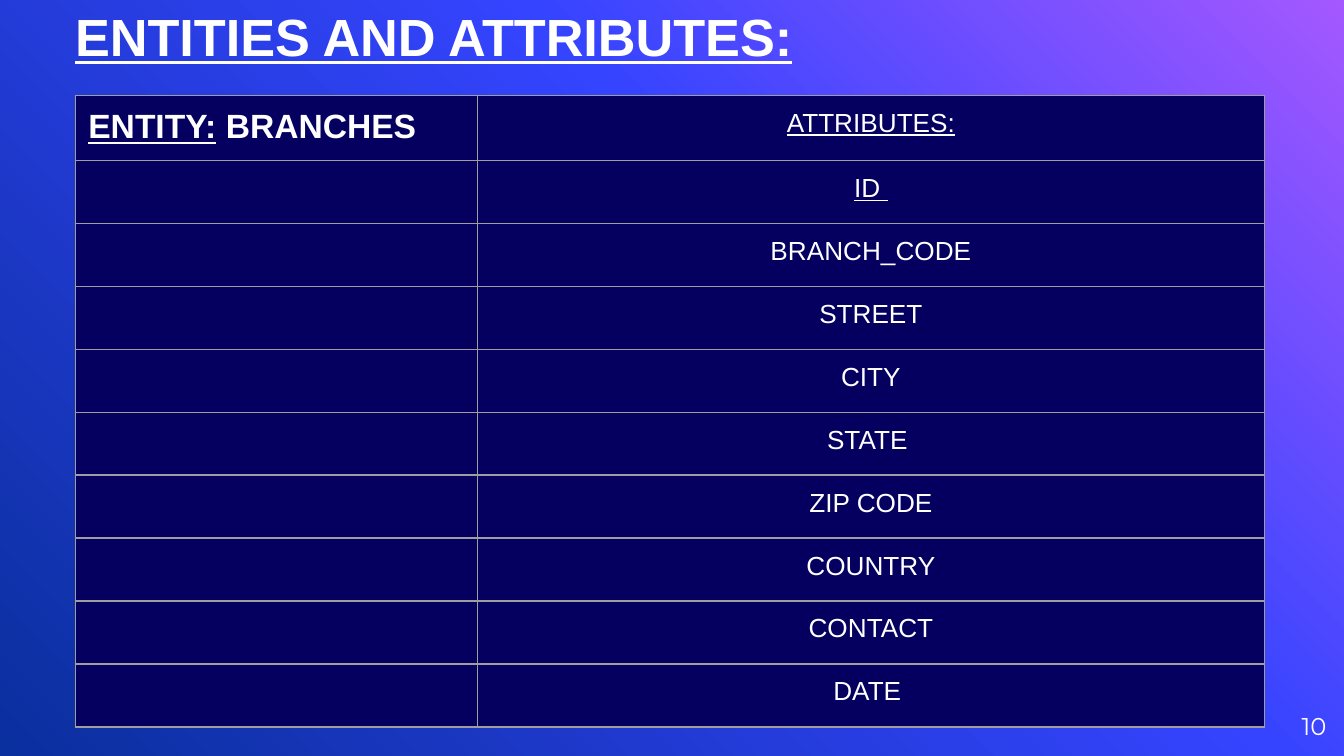
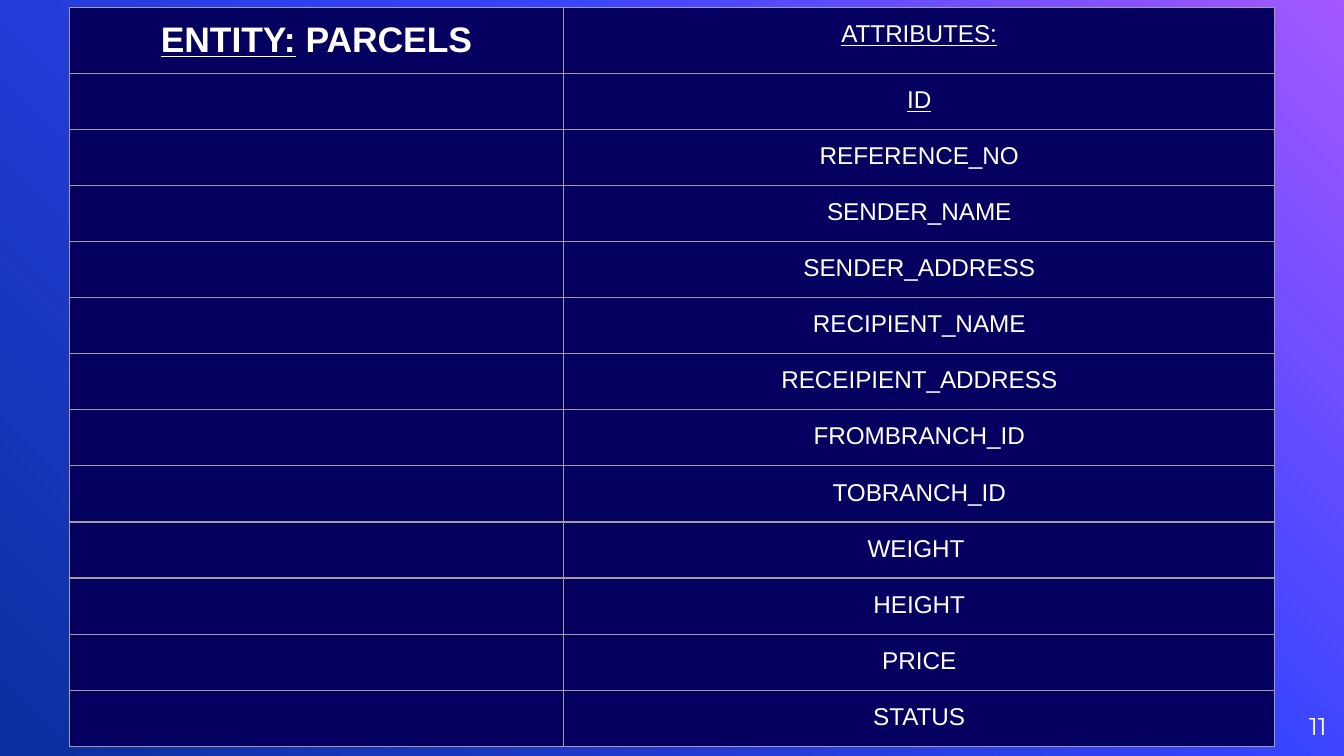
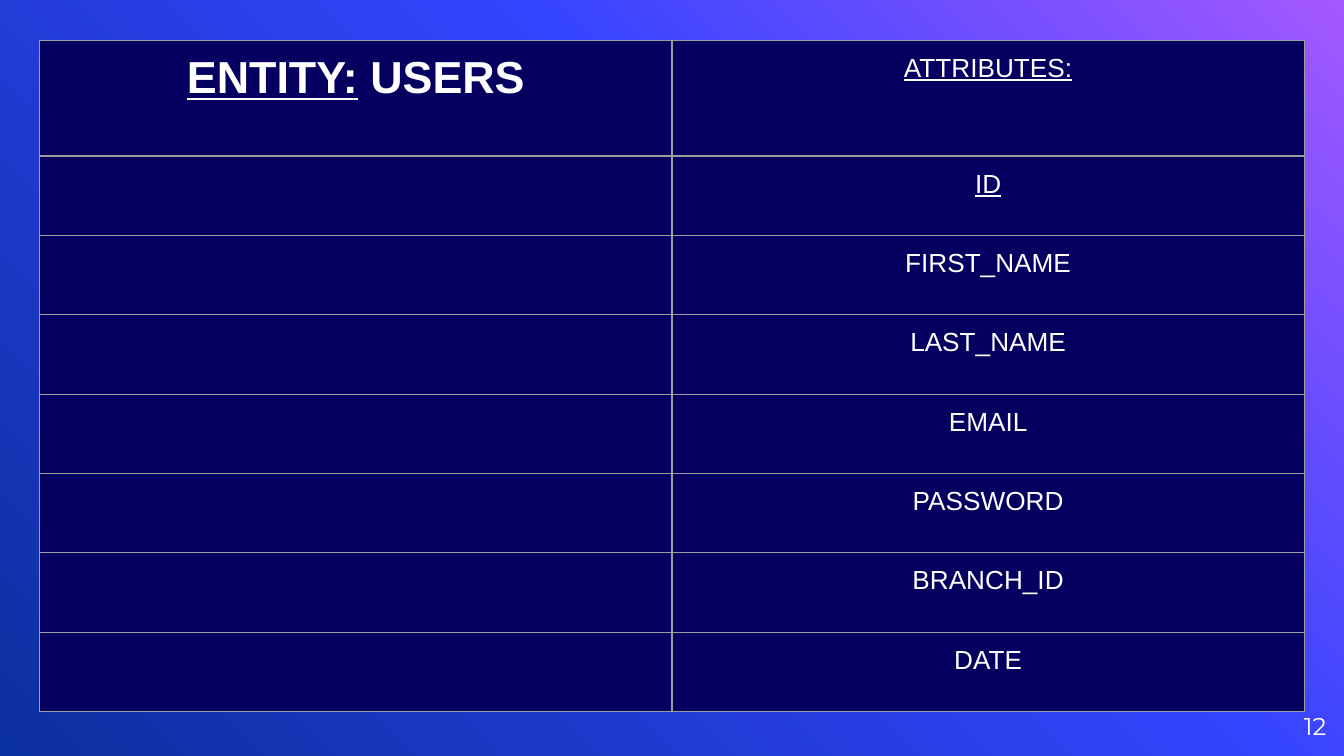
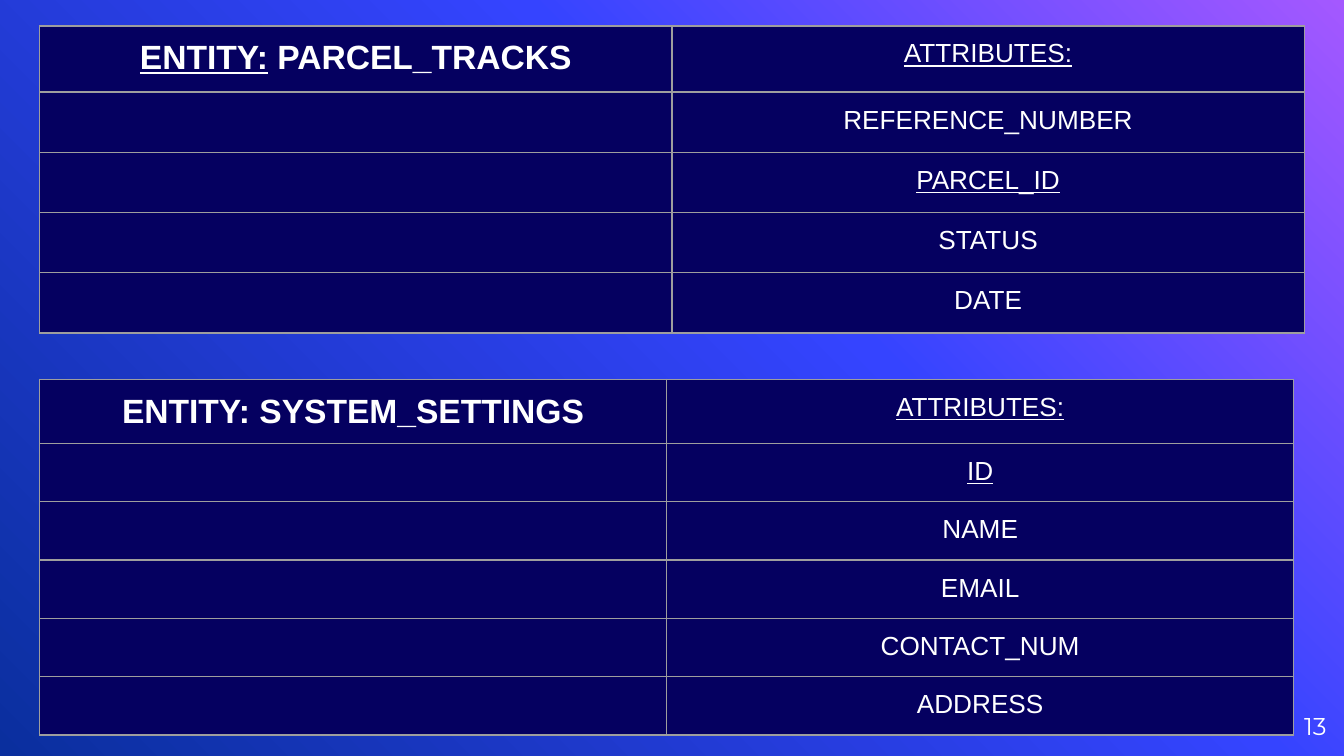
from copy import deepcopy

from pptx import Presentation
from pptx.dml.color import RGBColor
from pptx.enum.text import MSO_ANCHOR as Anchor, MSO_AUTO_SIZE as AutoSize, PP_ALIGN as Align
from pptx.oxml.ns import qn
from pptx.util import Cm, Pt
from lxml.etree import SubElement

COLORS = {
    "text": "FFFFFF",
    "cell": "050060",
    "border": "9E9E9E",
    "violet": "A458FF",
    "blue": "3544FF",
    "navy": "0A2F9E",
}
BACKDROP = [(0, "violet"), (0.39, "blue"), (1, "navy")]
BODY_FONT, NUMBER_FONT = "Arial", "Montserrat"
TITLE_ONLY, BLANK = 5, 6
FIRST_NUMBER = 10
CELL_MARGIN = 0.25
NUMBER_BOX = (23.55, 13.18, 1.52, 1.09)
TITLE_BOX = (1.42, -0.61, 16.71, 1.88)

# Each box is left, top; names in "keys" are underlined.
SLIDES = [
    {
        "title": "ENTITIES AND ATTRIBUTES:",
        "tables": [dict(
            entity="BRANCHES", box=(1.42, 1.8), columns=(7.6, 14.88), rows=(1.23, 1.19),
            header_align=Align.LEFT, keys=["ID "],
            attributes=["ID ", "BRANCH_CODE", "STREET", "CITY", "STATE ", "ZIP CODE",
                        "COUNTRY", "CONTACT", "DATE "])],
    },
    {
        "tables": [dict(
            entity="PARCELS", box=(1.31, 0.14), columns=(9.34, 13.44), rows=(1.22, 1),
            header_size=19, size=13, keys=["ID"],
            attributes=["ID", "REFERENCE_NO", "SENDER_NAME", "SENDER_ADDRESS",
                        "RECIPIENT_NAME", "RECEIPIENT_ADDRESS", "FROMBRANCH_ID",
                        "TOBRANCH_ID", "WEIGHT ", "HEIGHT", "PRICE", "STATUS"])],
    },
    {
        "tables": [dict(
            entity="USERS", box=(0.75, 0.76), columns=(11.95, 11.95), rows=(2.19, 1.5),
            header_size=24, keys=["ID"],
            attributes=["ID", "FIRST_NAME", "LAST_NAME", "EMAIL", "PASSWORD",
                        "BRANCH_ID", "DATE"])],
    },
    {
        "tables": [
            dict(
                entity="PARCEL_TRACKS", box=(0.75, 0.49), columns=(11.95, 11.95),
                rows=(1.25, 1.14), keys=["PARCEL_ID"],
                attributes=["REFERENCE_NUMBER", "PARCEL_ID", "STATUS", "DATE"]),
            dict(
                entity="SYSTEM_SETTINGS", box=(0.75, 7.17), columns=(11.85, 11.85),
                rows=(1.06, 1.06), underline_label=False, keys=["ID"],
                attributes=["ID", "NAME", "EMAIL", "CONTACT_NUM", "ADDRESS"]),
        ],
    },
]


def color(name):
    return RGBColor.from_string(COLORS[name])


def write(frame, *parts, size, font=BODY_FONT, bold=False, align=Align.CENTER):
    """Fill a text frame with one paragraph of (text, underlined) parts."""
    paragraph = frame.paragraphs[0]
    paragraph.alignment = align
    for text, underlined in parts:
        run = paragraph.add_run()
        run.text = text
        run.font.name = font
        run.font.size = Pt(size)
        run.font.bold = bold
        run.font.underline = underlined
        run.font.color.rgb = color("text")
    if not parts:
        # The end mark keeps an empty line from stretching its row.
        SubElement(paragraph._p, qn("a:endParaRPr"), sz=str(size * 100))


def clear_margins(frame, anchor):
    frame.margin_left = frame.margin_right = frame.margin_top = frame.margin_bottom = 0
    frame.vertical_anchor = anchor
    frame.word_wrap = True
    frame.auto_size = AutoSize.NONE


def paint_backdrop(master):
    fill = master.background.fill
    fill.gradient()
    fill.gradient_angle = 225
    stop_list = master.element.find(".//" + qn("p:bg")).find(".//" + qn("a:gsLst"))
    stop_list.insert(1, deepcopy(stop_list[0]))
    for stop, (position, name) in zip(fill.gradient_stops, BACKDROP):
        stop.position = position
        stop.color.rgb = color(name)


def style_cell(cell):
    cell.margin_left = cell.margin_right = Cm(CELL_MARGIN)
    cell.margin_top = cell.margin_bottom = Cm(CELL_MARGIN)
    cell.vertical_anchor = Anchor.TOP
    properties = cell._tc.get_or_add_tcPr()
    for side in ("lnL", "lnR", "lnT", "lnB"):
        border = SubElement(properties, qn("a:" + side), w=str(Pt(0.75)))
        solid = SubElement(border, qn("a:solidFill"))
        SubElement(solid, qn("a:srgbClr"), val=COLORS["border"])
    cell.fill.solid()
    cell.fill.fore_color.rgb = color("cell")


def add_entity_table(slide, entity, attributes, keys, box, columns, rows, size=14,
                     header_size=18, header_align=Align.CENTER, underline_label=True):
    """Name the entity at top left and list its attributes on the right."""
    header_height, row_height = rows
    heights = [header_height] + [row_height] * len(attributes)
    left, top = box
    table = slide.shapes.add_table(
        len(heights), len(columns), Cm(left), Cm(top), Cm(sum(columns)), Cm(sum(heights))).table
    table.first_row = table.horz_banding = False
    for column, width in zip(table.columns, columns):
        column.width = Cm(width)
    for row, height in zip(table.rows, heights):
        row.height = Cm(height)
    for cell in table.iter_cells():
        style_cell(cell)

    write(table.cell(0, 0).text_frame, ("ENTITY:", underline_label), (" " + entity, False),
          size=header_size, bold=True, align=header_align)
    write(table.cell(0, 1).text_frame, ("ATTRIBUTES:", True), size=size)
    for index, attribute in enumerate(attributes, start=1):
        write(table.cell(index, 0).text_frame, size=size)
        write(table.cell(index, 1).text_frame, (attribute, attribute in keys), size=size)


def add_title(slide, title):
    heading = slide.shapes.title
    heading.left, heading.top, heading.width, heading.height = map(Cm, TITLE_BOX)
    clear_margins(heading.text_frame, Anchor.BOTTOM)
    write(heading.text_frame, (title, True), size=28, bold=True, align=Align.LEFT)


def add_slide_number(slide, number):
    frame = slide.shapes.add_textbox(*map(Cm, NUMBER_BOX)).text_frame
    clear_margins(frame, Anchor.MIDDLE)
    write(frame, (str(number), False), size=13, font=NUMBER_FONT, align=Align.RIGHT)


def add_entity_slide(deck, number, tables, title=None):
    slide = deck.slides.add_slide(deck.slide_layouts[TITLE_ONLY if title else BLANK])
    if title:
        add_title(slide, title)
    add_slide_number(slide, number)
    for table in tables:
        add_entity_table(slide, **table)


def main():
    deck = Presentation()
    deck.slide_width, deck.slide_height = Cm(25.4), Cm(14.29)
    paint_backdrop(deck.slide_master)
    for number, content in enumerate(SLIDES, start=FIRST_NUMBER):
        add_entity_slide(deck, number, **content)
    deck.save("out.pptx")


if __name__ == "__main__":
    main()
